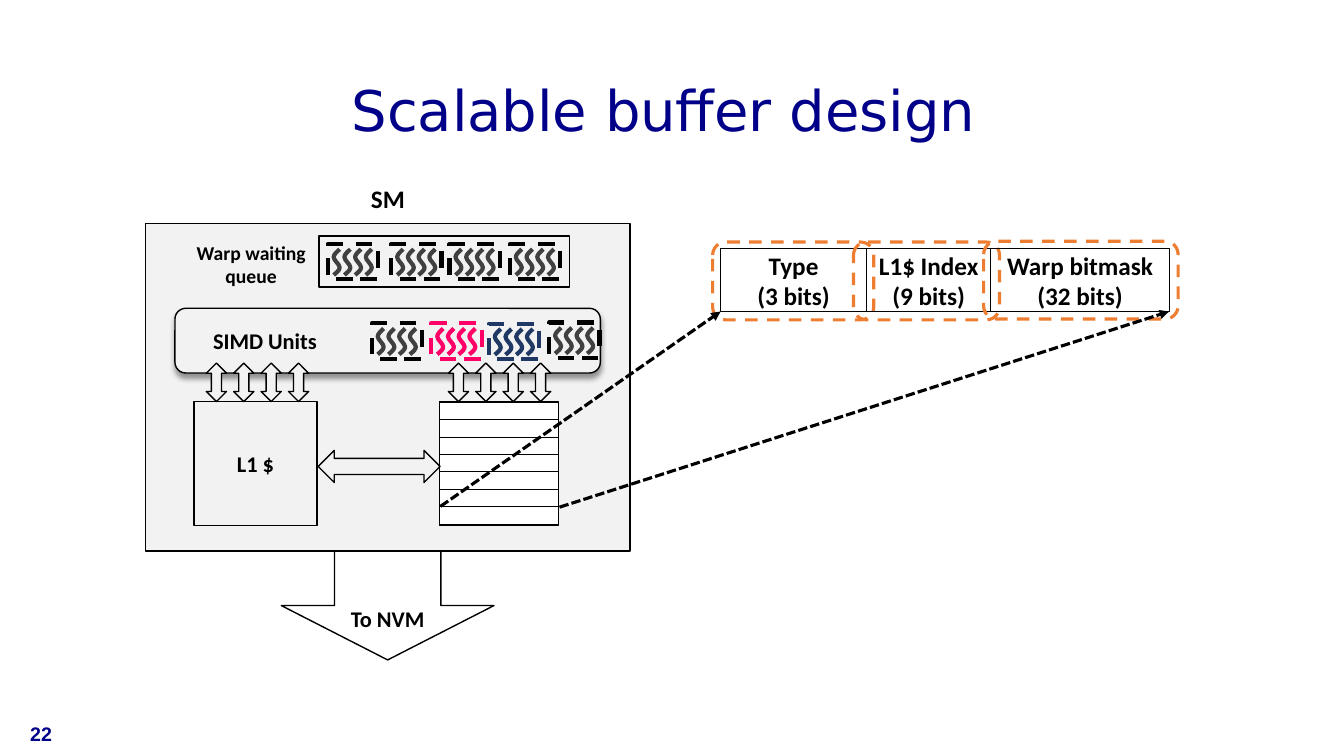
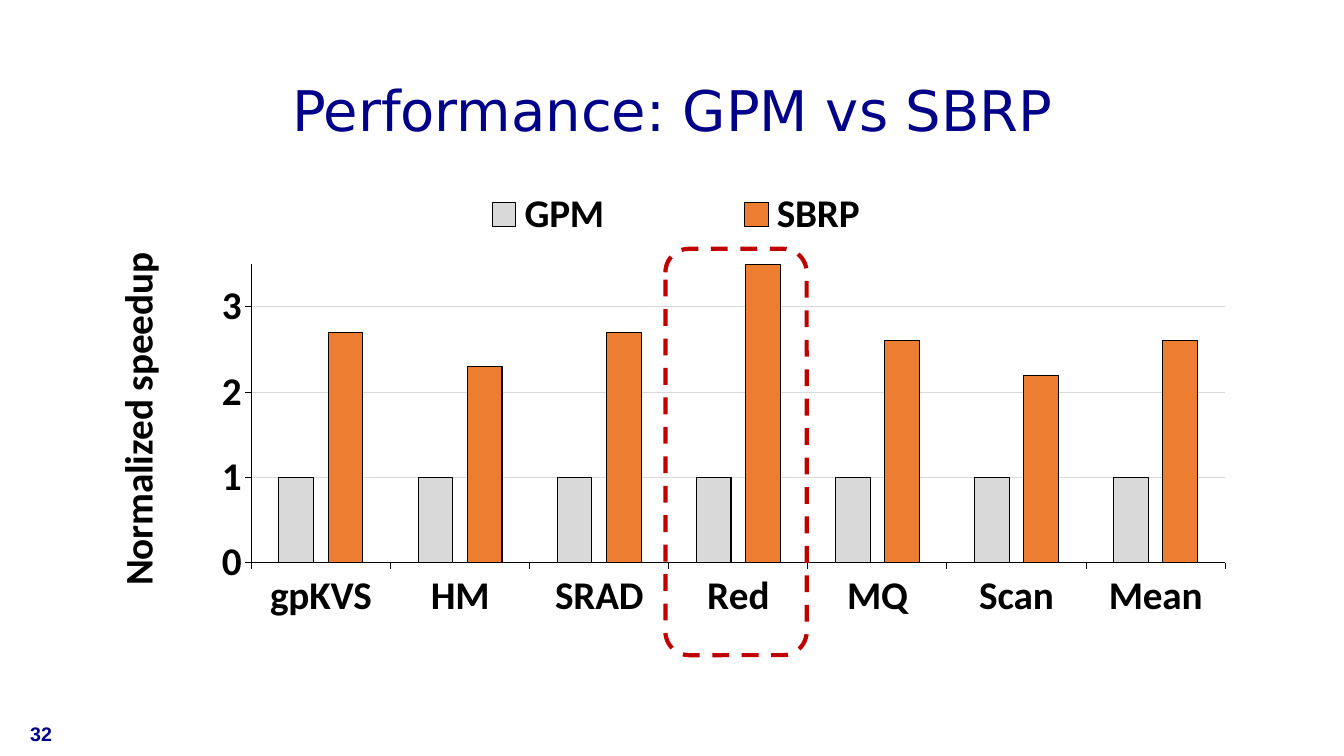
from dataclasses import dataclass
from typing import Optional

from lxml.etree import SubElement
from pptx import Presentation
from pptx.chart.chart import Chart
from pptx.chart.data import CategoryChartData
from pptx.dml.color import RGBColor as RGB
from pptx.enum.chart import XL_CHART_TYPE as Kind, XL_LEGEND_POSITION as Side
from pptx.enum.dml import MSO_LINE as Dash
from pptx.enum.shapes import MSO_CONNECTOR as Link, MSO_SHAPE as Form
from pptx.enum.text import MSO_ANCHOR as Anchor, PP_ALIGN as Align
from pptx.oxml.ns import qn
from pptx.shapes.autoshape import Shape
from pptx.slide import Slide
from pptx.text.text import Font, TextFrame
from pptx.util import Cm, Pt


@dataclass(frozen=True)
class Theme:
    black: RGB = RGB(0, 0, 0)
    white: RGB = RGB(255, 255, 255)
    pale: RGB = RGB(0xF2, 0xF2, 0xF2)
    grid: RGB = RGB(0xD9, 0xD9, 0xD9)
    dark: RGB = RGB(0x40, 0x40, 0x40)
    navy: RGB = RGB(0, 0, 0x88)
    blue: RGB = RGB(0x20, 0x38, 0x64)
    pink: RGB = RGB(0xFF, 0, 0x66)
    orange: RGB = RGB(0xED, 0x7D, 0x31)
    red: RGB = RGB(0xC0, 0, 0)
    body: str = "Calibri"
    head: str = "DejaVu Sans"
    foot: str = "Arial"
    title: int = 40
    chart: int = 28
    large: int = 18
    base: int = 16
    small: int = 14


@dataclass(frozen=True)
class Box:
    """A place on the slide, in centimetres."""
    left: float
    top: float
    width: float
    height: float

    def emu(self) -> tuple[Cm, Cm, Cm, Cm]:
        return Cm(self.left), Cm(self.top), Cm(self.width), Cm(self.height)


@dataclass(frozen=True)
class Warp:
    left: float
    top: float
    frame: RGB
    thread: RGB


@dataclass(frozen=True)
class Field:
    text: str
    cell: Box
    ring: Box


T = Theme()
WARPS = [
    Warp(9.37, 8.15, T.black, T.dark),
    Warp(10.87, 8.15, T.pink, T.pink),
    Warp(13.84, 8.13, T.black, T.dark),
    Warp(12.32, 8.16, T.blue, T.blue),
] + [Warp(left, 6.15, T.black, T.dark) for left in (8.26, 9.86, 11.33, 12.85)]
FIELDS = [
    Field("Type\n(3 bits)", Box(18.16, 6.27, 3.68, 1.58), Box(17.96, 6.1, 4.06, 1.96)),
    Field("L1$ Index\n(9 bits)", Box(21.84, 6.27, 3.13, 1.58), Box(21.51, 6.1, 3.68, 1.96)),
    Field("Warp bitmask\n(32 bits)", Box(24.97, 6.27, 4.5, 1.58), Box(24.79, 6.08, 4.9, 1.96)),
]
# Start point of a thread, then three Bézier segments of three points each.
CURVE = [(0.15, 0), (0.08, 0.07), (0, 0.13), (0, 0.2), (0, 0.28), (0.15, 0.38),
         (0.15, 0.46), (0.15, 0.53), (0.08, 0.58), (0, 0.65)]
SPEED = {
    "gpKVS": 2.7, "HM": 2.3, "SRAD": 2.7, "Red": 3.5,
    "MQ": 2.6, "Scan": 2.2, "Mean": 2.6,
}


def style(font: Font, size: int, name: str = T.body, color: RGB = T.black,
          bold: bool = True) -> None:
    font.size, font.name, font.bold = Pt(size), name, bold
    font.color.rgb = color


def write(frame: TextFrame, text: str, size: int, name: str = T.body,
          color: RGB = T.black, bold: bool = True, align: Align = Align.CENTER,
          anchor: Anchor = Anchor.MIDDLE, wrap: bool = True) -> None:
    frame.text = text
    frame.word_wrap, frame.vertical_anchor = wrap, anchor
    for para in frame.paragraphs:
        para.alignment = align
        for run in para.runs:
            style(run.font, size, name, color, bold)


def draw(shapes, form: Form, box: Box, fill: Optional[RGB] = None,
         line: RGB = T.black, width: float = 1, dash: Optional[Dash] = None) -> Shape:
    shape = shapes.add_shape(form, *box.emu())
    finish(shape, fill, line, width, dash)
    return shape


def finish(shape: Shape, fill: Optional[RGB], line: RGB, width: float,
           dash: Optional[Dash] = None) -> None:
    shape.shadow.inherit = False
    if fill is None:
        shape.fill.background()
    else:
        shape.fill.solid()
        shape.fill.fore_color.rgb = fill
    shape.line.color.rgb, shape.line.width = line, Pt(width)
    if dash is not None:
        shape.line.dash_style = dash


def label(slide: Slide, box: Box, text: str, size: int, **look) -> None:
    write(slide.shapes.add_textbox(*box.emu()).text_frame, text, size, **look)


def link(slide: Slide, start: tuple[float, float], end: tuple[float, float],
         width: float, dash: Optional[Dash] = None, arrow: bool = False) -> None:
    points = [Cm(n) for n in (*start, *end)]
    line = slide.shapes.add_connector(Link.STRAIGHT, *points)
    line.line.color.rgb, line.line.width = T.black, Pt(width)
    if dash is not None:
        line.line.dash_style = dash
    props = line.element.spPr
    if arrow:
        SubElement(props.get_or_add_ln(), qn("a:tailEnd"), type="triangle")
    SubElement(props, qn("a:effectLst"))


def drop_shade(shape: Shape) -> None:
    """Cast a soft shadow straight down."""
    effect = shape.element.spPr.find(qn("a:effectLst"))
    shade = SubElement(effect, qn("a:outerShdw"), blurRad=str(Pt(4)), dist=str(Pt(3)),
                       dir="5400000", algn="t", rotWithShape="0")
    color = SubElement(shade, qn("a:srgbClr"), val=str(T.black))
    SubElement(color, qn("a:alpha"), val="40000")


def bend(shape: Shape) -> None:
    """Turn each three straight segments into one Bézier segment."""
    track = shape.element.find(".//" + qn("a:path"))
    lines = track.findall(qn("a:lnTo"))
    for first in range(0, len(lines), 3):
        curve = SubElement(track, qn("a:cubicBezTo"))
        for line in lines[first:first + 3]:
            curve.append(line[0])
            track.remove(line)


def draw_thread(shapes, left: float, top: float, color: RGB) -> None:
    start, *rest = [(Cm(left + x), Cm(top + y)) for x, y in CURVE]
    pen = shapes.build_freeform(*start)
    pen.add_line_segments(rest, close=False)
    thread = pen.convert_to_shape()
    bend(thread)
    finish(thread, None, color, 3)


def draw_warp(slide: Slide, warp: Warp) -> None:
    group = slide.shapes.add_group_shape().shapes
    frame = draw(group, Form.RECTANGLE, Box(warp.left, warp.top, 1.27, 0.89),
                 line=warp.frame, width=3, dash=Dash.DASH)
    frame.element.spPr.xfrm.set("flipH", "1")
    for i in range(4):
        draw_thread(group, warp.left + 0.15 + 0.27 * i, warp.top + 0.13, warp.thread)


def add_slide(deck, title: str, number: int) -> Slide:
    slide = deck.slides.add_slide(deck.slide_layouts[5])
    head = slide.shapes.title
    head.left, head.top, head.width, head.height = Box(2.34, 1.02, 29.21, 3.68).emu()
    write(head.text_frame, title, T.title, T.head, T.navy, bold=False)
    head.text_frame.paragraphs[0].line_spacing = 0.9
    label(slide, Box(0.51, 17.98, 7.62, 1.02), str(number), T.small,
          name=T.foot, color=T.navy, align=Align.LEFT)
    return slide


def build_design(deck) -> None:
    slide = add_slide(deck, "Scalable buffer design ", 22)
    shapes = slide.shapes
    draw(shapes, Form.RECTANGLE, Box(3.67, 5.64, 12.21, 8.25), T.pale)
    simd = draw(shapes, Form.ROUNDED_RECTANGLE, Box(4.41, 7.77, 10.72, 1.63), T.pale)
    drop_shade(simd)
    write(simd.text_frame, "SIMD Units", T.base, align=Align.LEFT)
    simd.text_frame.margin_left = Cm(0.88)
    cache = draw(shapes, Form.RECTANGLE, Box(4.89, 10.12, 3.1, 3.12), T.pale)
    write(cache.text_frame, "L1 $", T.base)

    draw(shapes, Form.RECTANGLE, Box(11.07, 10.12, 3, 3.12), T.white)
    for row in range(8):
        y = 10.13 + 0.44 * row
        link(slide, (11.06, y), (14.07, y), 0.5)
    for left in (5.2, 11.3):
        for i in range(4):
            draw(shapes, Form.UP_DOWN_ARROW, Box(left + 0.69 * i, 9.15, 0.51, 0.97), T.pale)
    draw(shapes, Form.LEFT_RIGHT_ARROW, Box(8.02, 11.35, 3.07, 0.81), T.pale)
    down = draw(shapes, Form.DOWN_ARROW, Box(7.09, 13.89, 5.36, 2.74))
    write(down.text_frame, "To NVM", T.base, anchor=Anchor.BOTTOM)
    down.text_frame.margin_bottom = Cm(0.02)

    for warp in WARPS:
        draw_warp(slide, warp)
    draw(shapes, Form.RECTANGLE, Box(8.04, 5.95, 6.32, 1.28))
    label(slide, Box(9.09, 4.5, 1.37, 1.02), "SM", T.large, wrap=False)
    label(slide, Box(4.41, 5.94, 3.84, 1.45), "Warp waiting queue", T.small,
          anchor=Anchor.TOP)

    for field in FIELDS:
        cell = draw(shapes, Form.RECTANGLE, field.cell)
        write(cell.text_frame, field.text, T.large)
        draw(shapes, Form.ROUNDED_RECTANGLE, field.ring,
             line=T.orange, width=2.25, dash=Dash.DASH)
    for start, end in (((11.1, 12.76), (18.16, 7.85)), ((14.1, 12.78), (29.46, 7.85))):
        link(slide, start, end, 2.25, Dash.SQUARE_DOT, arrow=True)


def place(chart: Chart, tag: str, index: int, inner: bool = False, **area: float) -> None:
    """Give a chart part a fixed area, in fractions of the chart."""
    part = chart.element.find(".//" + qn(tag))
    for old in part.findall(qn("c:layout")):
        part.remove(old)
    layout = SubElement(part, qn("c:layout"))
    part.insert(index, layout)
    manual = SubElement(layout, qn("c:manualLayout"))
    if inner:
        SubElement(manual, qn("c:layoutTarget"), val="inner")
    for mode in ("xMode", "yMode"):
        SubElement(manual, qn("c:" + mode), val="edge")
    for key, value in area.items():
        SubElement(manual, qn("c:" + key), val=str(value))


def build_speed(deck) -> None:
    slide = add_slide(deck, "Performance: GPM vs SBRP", 32)
    data = CategoryChartData()
    data.categories = list(SPEED)
    data.add_series("GPM", [1] * len(SPEED))
    data.add_series("SBRP", list(SPEED.values()))
    area = Box(2.34, 4.69, 28.55, 11.58)
    chart = slide.shapes.add_chart(Kind.COLUMN_CLUSTERED, *area.emu(), data).chart
    style(chart.font, T.chart)
    chart.has_title = False

    plot = chart.plots[0]
    plot.gap_width, plot.overlap, plot.vary_by_categories = 159, -42, False
    for bars, color in zip(plot.series, (T.grid, T.orange)):
        bars.format.fill.solid()
        bars.format.fill.fore_color.rgb = color
        bars.format.line.color.rgb, bars.format.line.width = T.black, Pt(0.75)

    scale = chart.value_axis
    scale.minimum_scale, scale.maximum_scale, scale.major_unit = 0, 3.5, 1
    scale.has_major_gridlines = True
    lines = ((chart.category_axis, T.black), (scale, T.black),
             (scale.major_gridlines, T.grid))
    for part, color in lines:
        part.format.line.color.rgb, part.format.line.width = color, Pt(0.75)
    for axis in (chart.category_axis, scale):
        style(axis.tick_labels.font, T.chart)
    name = scale.axis_title.text_frame
    name.text = "Normalized speedup"
    style(name.paragraphs[0].runs[0].font, T.chart)

    chart.has_legend = True
    chart.legend.position = Side.TOP
    chart.legend.include_in_layout = True
    style(chart.legend.font, T.chart)
    place(chart, "c:plotArea", 0, inner=True, x=0.14, y=0.17, w=0.86, h=0.65)
    place(chart, "c:legend", 1, x=0.24, y=0.01, w=0.55, h=0.1)
    place(chart, "c:title", 1, x=0.01, y=0.13)

    draw(slide.shapes, Form.ROUNDED_RECTANGLE, Box(16.77, 6.27, 3.56, 10.24),
         line=T.red, width=3, dash=Dash.DASH)


def main() -> None:
    deck = Presentation()
    deck.slide_width, deck.slide_height = Cm(33.87), Cm(19.05)
    build_design(deck)
    build_speed(deck)
    deck.save("out.pptx")


if __name__ == "__main__":
    main()
